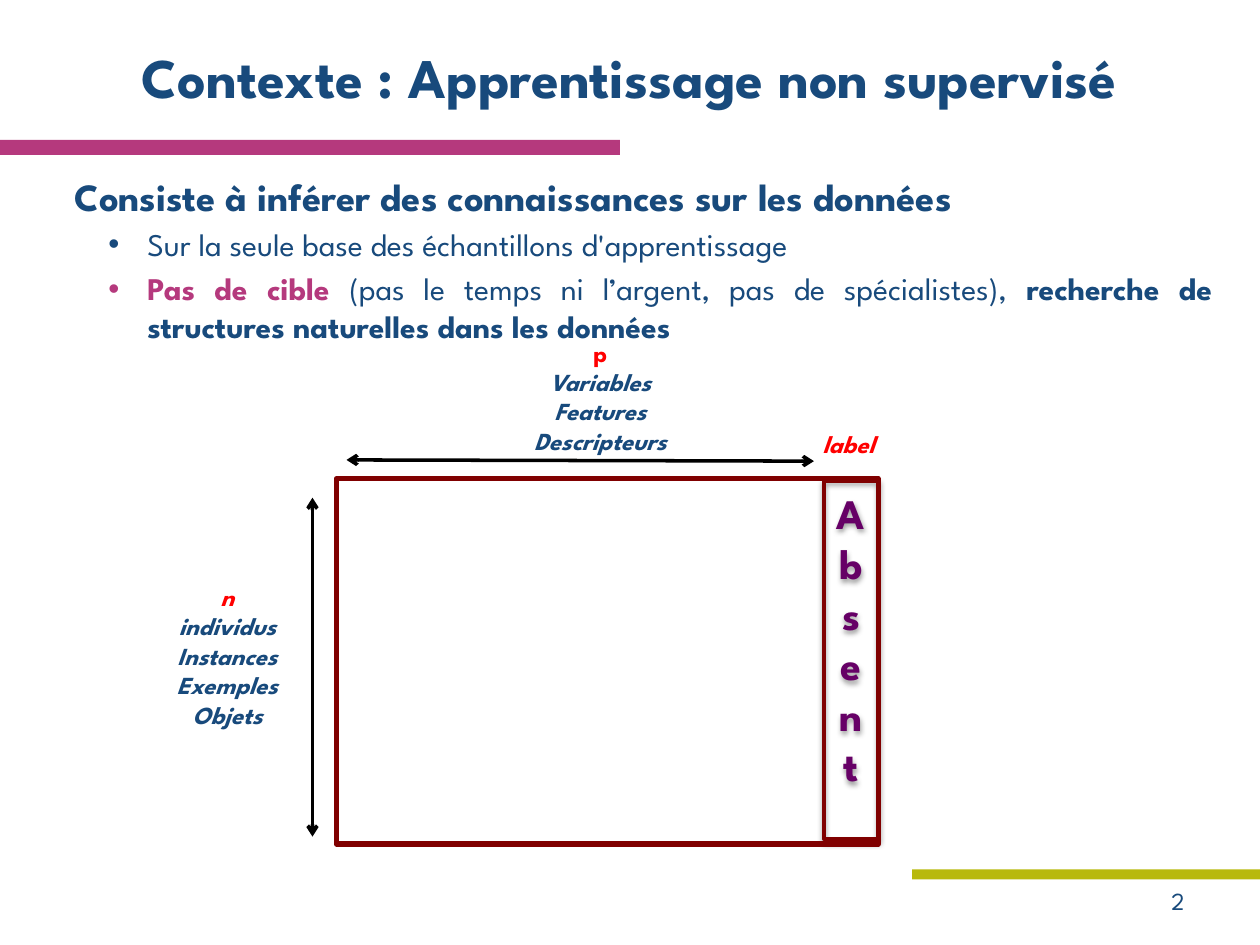
from dataclasses import dataclass

from lxml import etree
from pptx import Presentation
from pptx.dml.color import RGBColor
from pptx.enum.shapes import MSO_CONNECTOR, MSO_SHAPE
from pptx.enum.text import MSO_ANCHOR, MSO_AUTO_SIZE, PP_ALIGN
from pptx.oxml.ns import qn
from pptx.util import Inches, Pt

FONT = "League Spartan"
BLUE = RGBColor(0x18, 0x4A, 0x7C)
MAGENTA = RGBColor(0xB5, 0x39, 0x7D)
OLIVE = RGBColor(0xB8, 0xB9, 0x0C)
RED = RGBColor(0xFF, 0x00, 0x00)
MAROON = RGBColor(0x80, 0x00, 0x00)
PURPLE = RGBColor(0x66, 0x00, 0x66)
BLACK = RGBColor(0x00, 0x00, 0x00)

CENTER, RIGHT, JUSTIFY = PP_ALIGN.CENTER, PP_ALIGN.RIGHT, PP_ALIGN.JUSTIFY
TOP, MIDDLE = MSO_ANCHOR.TOP, MSO_ANCHOR.MIDDLE
NO_AUTOFIT = MSO_AUTO_SIZE.NONE
RECTANGLE = MSO_SHAPE.RECTANGLE
STRAIGHT = MSO_CONNECTOR.STRAIGHT

# The slide is a grid of 100 columns by 75 rows.
COLUMNS, ROWS = 100, 75
CELL = Inches(10) / COLUMNS


@dataclass
class Box:
    """An area in columns and rows of the slide grid."""
    left: float
    top: float
    width: float
    height: float

    def area(self, left, top, width, height):
        """An area whose place is counted from this one's corner."""
        return Box(self.left + left, self.top + top, width, height)

    def lengths(self):
        return [round(n * CELL) for n in (self.left, self.top, self.width, self.height)]


def place(shape, box):
    shape.left, shape.top, shape.width, shape.height = box.lengths()


def add_run(paragraph, text, size, color=BLUE, bold=False, italic=False):
    run = paragraph.add_run()
    run.text = text
    font = run.font
    font.name, font.size, font.bold, font.italic = FONT, Pt(size), bold, italic
    font.color.rgb = color


def add_text(slide, box, lines, size, align=CENTER, anchor=TOP, **style):
    """Add a text box from (text, colour, italic) lines."""
    frame = slide.shapes.add_textbox(*box.lengths()).text_frame
    frame.word_wrap = True
    frame.vertical_anchor = anchor
    for index, (text, color, italic) in enumerate(lines):
        paragraph = frame.add_paragraph() if index else frame.paragraphs[0]
        paragraph.alignment = align
        add_run(paragraph, text, size, color, italic=italic, **style)


def add_rectangle(slide, box, fill=None, line=None, line_width=0):
    shape = slide.shapes.add_shape(RECTANGLE, *box.lengths())
    shape.shadow.inherit = False
    if fill is None:
        shape.fill.background()
    else:
        shape.fill.solid()
        shape.fill.fore_color.rgb = fill
    if line is None:
        shape.line.fill.background()
    else:
        shape.line.color.rgb = line
        shape.line.width = Pt(line_width)
    return shape


def add_double_arrow(slide, box):
    left, top, width, height = box.lengths()
    arrow = slide.shapes.add_connector(STRAIGHT, left, top, left + width, top + height)
    arrow.line.color.rgb = BLACK
    arrow.line.width = Pt(2)
    properties = arrow._element.spPr
    line = properties.find(qn("a:ln"))
    for end in ("a:headEnd", "a:tailEnd"):
        etree.SubElement(line, qn(end), type="arrow")
    etree.SubElement(properties, qn("a:effectLst"))


def add_soft_shadow(shape):
    effects = shape._element.spPr.find(qn("a:effectLst"))
    shadow = etree.SubElement(effects, qn("a:outerShdw"), blurRad=str(int(Pt(3.1))),
                              dist=str(int(Pt(1.6))), dir="5400000", rotWithShape="0")
    color = etree.SubElement(shadow, qn("a:srgbClr"), val=str(BLACK))
    etree.SubElement(color, qn("a:alpha"), val="38000")


def set_bullet(paragraph, margin=0.0, indent=0.0, character=None):
    properties = paragraph._p.get_or_add_pPr()
    properties.set("marL", str(int(Inches(margin))))
    properties.set("indent", str(int(Inches(indent))))
    if character:
        etree.SubElement(properties, qn("a:buChar"), char=character)
    else:
        etree.SubElement(properties, qn("a:buNone"))


def fill_title(title, box):
    place(title, box)
    frame = title.text_frame
    frame.auto_size = NO_AUTOFIT
    frame.vertical_anchor = MIDDLE
    paragraph = frame.paragraphs[0]
    paragraph.alignment = CENTER
    add_run(paragraph, "Contexte : Apprentissage non supervisé", 32, bold=True)


def fill_body(body, box):
    place(body, box)
    frame = body.text_frame
    frame.auto_size = NO_AUTOFIT
    frame.vertical_anchor = TOP
    heading = frame.paragraphs[0]
    set_bullet(heading)
    heading.alignment = JUSTIFY
    heading.space_before = Pt(0)
    add_run(heading, "Consiste à inférer des connaissances sur les données", 22, bold=True)
    points = [
        [("Sur la seule base des échantillons d'apprentissage", BLUE, False)],
        [("Pas de cible ", MAGENTA, True),
         ("(pas le temps ni l’argent, pas de spécialistes), ", BLUE, False),
         ("recherche de structures naturelles dans les données", BLUE, True)],
    ]
    for runs in points:
        paragraph = frame.add_paragraph()
        paragraph.level = 1
        set_bullet(paragraph, 0.58, -0.31, "•")
        paragraph.alignment = JUSTIFY
        paragraph.space_before = Pt(3.6)
        for text, color, bold in runs:
            add_run(paragraph, text, 18, color, bold)


def add_data_table_diagram(slide, box):
    """Draw the n by p data frame with its missing label column."""
    add_double_arrow(slide, box.area(0.8, -1.5, 37.1, 0.1))
    add_double_arrow(slide, box.area(-1.9, 1.5, 0, 26.9))

    label = add_rectangle(slide, box.area(38.7, 0.2, 4.3, 28.4), None, MAROON, 2.25)
    add_soft_shadow(label)
    frame = label.text_frame
    frame.word_wrap = True
    frame.vertical_anchor = TOP
    frame.paragraphs[0].alignment = CENTER
    add_run(frame.paragraphs[0], "Absent", 24, PURPLE, bold=True)

    add_rectangle(slide, box, None, MAROON, 3)

    variables = [("p", RED, False)]
    variables += [(name, BLUE, True) for name in ("Variables", "Features", "Descripteurs")]
    add_text(slide, box.area(13.8, -11.7, 14.3, 10.4), variables, 14, bold=True)
    individuals = [("n", RED, True)]
    individuals += [(name, BLUE, True)
                    for name in ("individus", "Instances", "Exemples", "Objets")]
    add_text(slide, box.area(-14.4, 7.7, 11.5, 12.8), individuals, 14, bold=True)
    add_text(slide, box.area(33.5, -4.4, 14.3, 3.4), [("label", RED, True)], 14, bold=True)


def add_decoration(slide, box):
    """Add the two colour bands and the page number."""
    add_rectangle(slide, box.area(0, 11.1, 49.2, 1.2), MAGENTA)
    add_rectangle(slide, box.area(72.4, 69, 27.6, 0.8), OLIVE)
    add_text(slide, box.area(82, 69.5, 13, 4), [("2", BLUE, False)], 14, RIGHT, MIDDLE)


def main():
    presentation = Presentation()
    presentation.slide_width = round(COLUMNS * CELL)
    presentation.slide_height = round(ROWS * CELL)
    slide = presentation.slides.add_slide(presentation.slide_layouts[1])
    add_decoration(slide, Box(0, 0, COLUMNS, ROWS))
    fill_title(slide.shapes.title, Box(5, 3, 90, 6.1))
    fill_body(slide.placeholders[1], Box(4.9, 13.2, 92.3, 53.5))
    add_data_table_diagram(slide, Box(26.7, 38, 43, 29))
    presentation.save("out.pptx")


if __name__ == "__main__":
    main()
